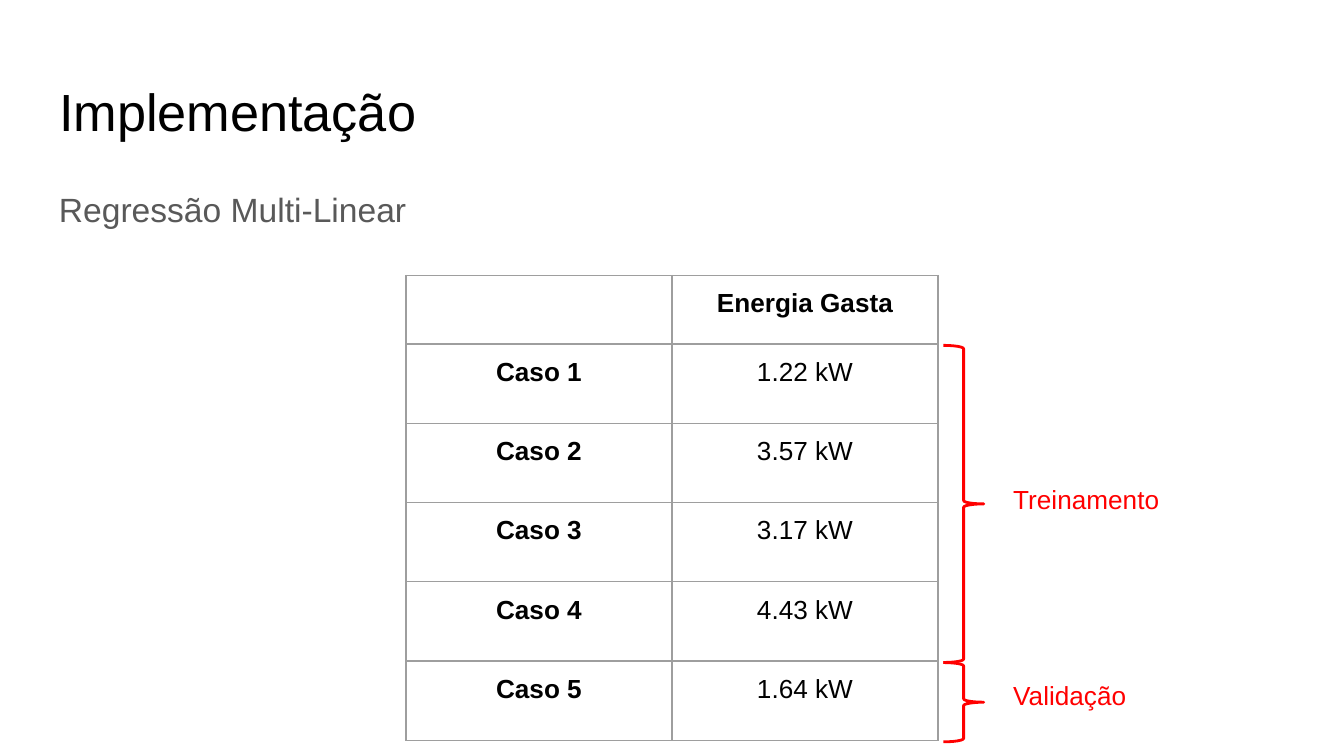
from lxml import etree
from pptx import Presentation
from pptx.dml.color import RGBColor
from pptx.enum import shapes, text
from pptx.oxml import ns
from pptx.util import Inches, Pt

HUES = {"ink": "000000", "soft": "595959", "rule": "9E9E9E", "mark": "FF0000"}
PAD = Inches(0.1)
HEAD, ROW, COL = 0.51, 0.59, 1.98
CASES = ["1.22 kW", "3.57 kW", "3.17 kW", "4.43 kW", "1.64 kW"]
# Label, first row, row count, label top and height
GROUPS = [("Treinamento", 0, 4, 3.5, 0.46), ("Validação", 4, 1, 5, 0.11)]


def rgb(name):
    return RGBColor.from_string(HUES[name])


def write(frame, words, size=14, hue="ink", bold=False, align="LEFT", line=1.0, after=0):
    para = frame.paragraphs[0]
    para.alignment = getattr(text.PP_ALIGN, align)
    para.line_spacing, para.space_after = line, Pt(after)
    para.font.size = Pt(size)
    if words:
        run = para.add_run()
        run.text = words
        font = run.font
        font.name, font.size, font.bold = "Arial", Pt(size), bold
        font.color.rgb = rgb(hue)


def setup(frame):
    frame.word_wrap = True
    frame.auto_size = text.MSO_AUTO_SIZE.NONE
    frame.vertical_anchor = text.MSO_ANCHOR.TOP
    frame.margin_left = frame.margin_right = PAD
    frame.margin_top = frame.margin_bottom = PAD


def label(slide, box, words, **style):
    frame = slide.shapes.add_textbox(*map(Inches, box)).text_frame
    setup(frame)
    write(frame, words, **style)


def border(cell):
    props = cell._tc.get_or_add_tcPr()
    for i, side in enumerate(("lnL", "lnR", "lnT", "lnB")):
        edge = etree.Element(ns.qn("a:" + side), w=str(Pt(0.75)))
        fill = etree.SubElement(edge, ns.qn("a:solidFill"))
        etree.SubElement(fill, ns.qn("a:srgbClr"), val=HUES["rule"])
        props.insert(i, edge)


def header(slide, left, top, width):
    # Title and subtitle
    title = slide.shapes.title
    title.left, title.top = Inches(left), Inches(top)
    title.width, title.height = Inches(width), Inches(0.63)
    setup(title.text_frame)
    write(title.text_frame, "Implementação", size=28)
    label(slide, (left, top + 0.77, width, 3.74), "Regressão Multi-Linear",
          size=18, hue="soft", line=1.15, after=16)


def energy(slide, left, top):
    # Energy table
    rows = [("", "Energia Gasta")]
    rows += [(f"Caso {n}", value) for n, value in enumerate(CASES, 1)]
    box = (left, top, 2 * COL, HEAD + len(CASES) * ROW)
    table = slide.shapes.add_table(len(rows), 2, *map(Inches, box)).table
    table.first_row = table.horz_banding = False
    for col in table.columns:
        col.width = Inches(COL)
    for r, row in enumerate(rows):
        table.rows[r].height = Inches(ROW if r else HEAD)
        for c, words in enumerate(row):
            cell = table.cell(r, c)
            cell.fill.background()
            cell.margin_left = cell.margin_right = PAD
            cell.margin_top = cell.margin_bottom = PAD
            write(cell.text_frame, words, bold=r == 0 or c == 0, align="CENTER")
            border(cell)


def groups(slide, left, top):
    # Braces with their labels
    for words, first, count, y, high in GROUPS:
        box = (left, top + first * ROW, 0.3, count * ROW)
        brace = slide.shapes.add_shape(shapes.MSO_SHAPE.RIGHT_BRACE, *map(Inches, box))
        brace.shadow.inherit = False
        brace.fill.background()
        brace.line.color.rgb = rgb("mark")
        brace.line.width = Pt(1.5)
        label(slide, (left + 0.42, y, 1.38, high), words, hue="mark")


# Widescreen deck, 16 to 9
deck = Presentation()
deck.slide_width = Inches(10)
deck.slide_height = Inches(10 * 9 / 16)
slide = deck.slides.add_slide(deck.slide_layouts[5])
header(slide, 0.34, 0.49, 9.32)
energy(slide, 3.02, 2.05)
groups(slide, 7.02, 2.57)
deck.save("out.pptx")
